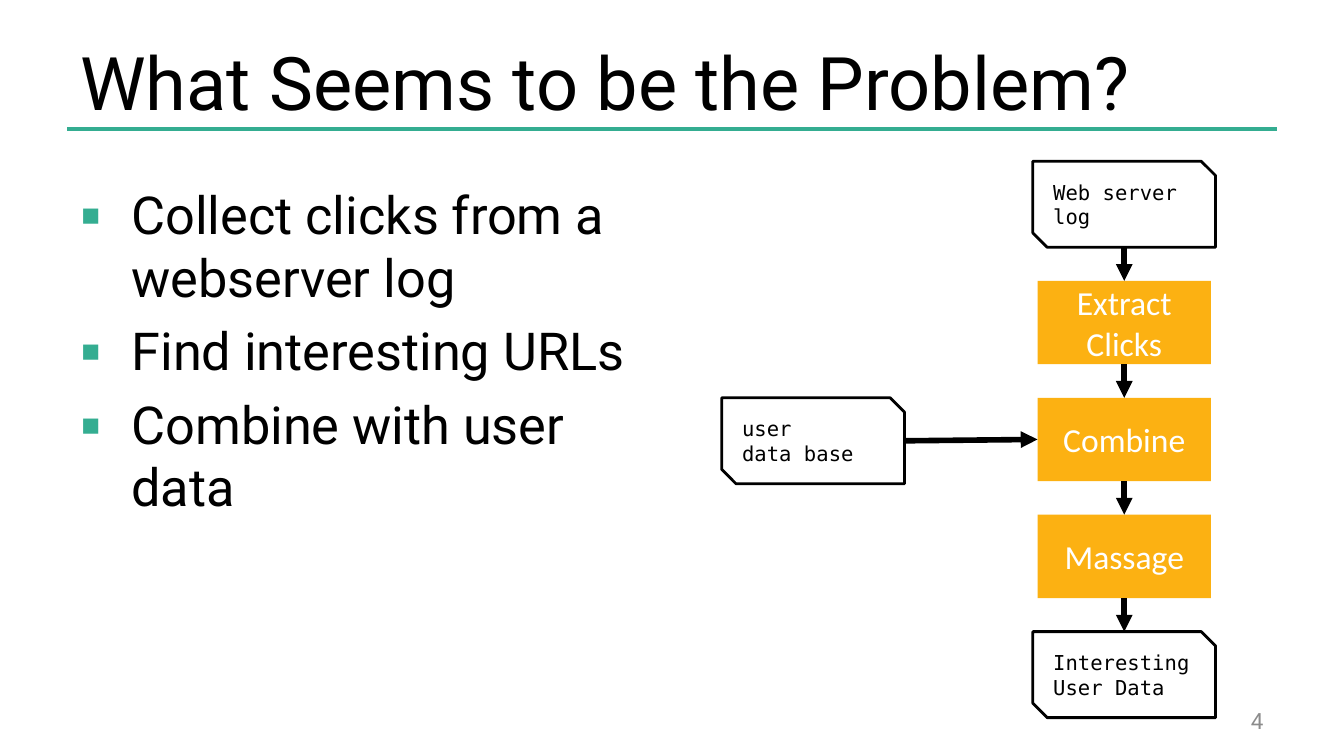
from lxml.etree import SubElement
from pptx import Presentation
from pptx.dml.color import RGBColor
from pptx.enum.shapes import MSO_CONNECTOR, MSO_SHAPE
from pptx.enum.text import MSO_ANCHOR, PP_ALIGN
from pptx.oxml.ns import qn
from pptx.util import Inches, Pt

BLACK = RGBColor(0x00, 0x00, 0x00)
WHITE = RGBColor(0xFF, 0xFF, 0xFF)
GREEN = RGBColor(0x34, 0xAD, 0x91)
AMBER = RGBColor(0xFC, 0xB1, 0x12)
GRAY = RGBColor(0x8C, 0x8C, 0x8C)

deck = Presentation()
deck.slide_width = Inches(10)
deck.slide_height = deck.slide_width * 9 // 16
COL = deck.slide_width / 100
ROW = deck.slide_height / 56.25
slide = deck.slides.add_slide(deck.slide_layouts[6])


def write(text, box, kind=None, size=18, font="Roboto", color=BLACK,
          align=PP_ALIGN.LEFT, anchor=MSO_ANCHOR.MIDDLE,
          fill=None, line=None, bullet=None):
    left, top, wide, high = box
    area = int(left * COL), int(top * ROW), int(wide * COL), int(high * ROW)
    if kind is None:
        shape = slide.shapes.add_textbox(*area)
    else:
        shape = slide.shapes.add_shape(kind, *area)
        shape.shadow.inherit = False
        shape.fill.solid()
        shape.fill.fore_color.rgb = fill
        if line is None:
            shape.line.fill.background()
        else:
            shape.line.color.rgb = line
            shape.line.width = Pt(1.5)
    frame = shape.text_frame
    frame.word_wrap = True
    frame.vertical_anchor = anchor
    for num, part in enumerate(text.split("\n")):
        para = frame.add_paragraph() if num else frame.paragraphs[0]
        para.alignment = align
        run = para.add_run()
        run.text = part
        run.font.size = Pt(size)
        run.font.name = font
        run.font.color.rgb = color
        if bullet:
            para.space_before = Pt(size * 0.2)
            props = para._p.get_or_add_pPr()
            props.set("marL", str(Inches(0.38)))
            props.set("indent", str(-Inches(0.38)))
            tint = SubElement(props, qn("a:buClr"))
            SubElement(tint, qn("a:srgbClr")).set("val", str(GREEN))
            SubElement(props, qn("a:buFont")).set("typeface", font)
            SubElement(props, qn("a:buChar")).set("char", bullet)


def join(start, end, color=BLACK, width=3, arrow=True):
    wire = slide.shapes.add_connector(
        MSO_CONNECTOR.STRAIGHT, int(start[0] * COL), int(start[1] * ROW),
        int(end[0] * COL), int(end[1] * ROW))
    wire.line.color.rgb = color
    wire.line.width = Pt(width)
    if arrow:
        SubElement(wire.line._get_or_add_ln(), qn("a:tailEnd")).set("type", "triangle")
    SubElement(wire._element.spPr, qn("a:effectLst"))


join((5, 9.6), (95, 9.6), color=GREEN, width=2, arrow=False)
write("What Seems to be the Problem?", (5, 2.3, 90, 7.4), size=39.6)
write("Collect clicks from a webserver log\nFind interesting URLs\nCombine with user data",
      (5, 13.1, 44.2, 37.1), size=28, anchor=MSO_ANCHOR.TOP, bullet="▪")
write("4", (71.7, 52.1, 23.3, 3), size=12, color=GRAY, align=PP_ALIGN.RIGHT)

MID = 83.65
STEP_W, STEP_H, GAP = 12.9, 6.2, 2.5
LOG_W, LOG_H = 13.6, 6.4
FIRST, SIDE = 12, 53.7
steps = ["Extract Clicks", "Combine", "Massage"]
PITCH = STEP_H + GAP
head = FIRST + LOG_H + GAP
side = head + PITCH
last = head + len(steps) * PITCH

logs = [("Web server log", MID - LOG_W / 2, FIRST),
        ("user\ndata base", SIDE, side),
        ("Interesting\nUser Data", MID - LOG_W / 2, last)]
for text, left, top in logs:
    write(text, (left, top, LOG_W, LOG_H), kind=MSO_SHAPE.SNIP_2_DIAG_RECTANGLE,
          size=11, font="DejaVu Sans Mono", fill=WHITE, line=BLACK)

for num, text in enumerate(steps):
    write(text, (MID - STEP_W / 2, head + num * PITCH, STEP_W, STEP_H),
          kind=MSO_SHAPE.RECTANGLE, font="Calibri", color=WHITE,
          align=PP_ALIGN.CENTER, fill=AMBER)

for num in range(len(steps) + 1):
    end = head + num * PITCH
    join((MID, end - GAP), (MID, end))
join((SIDE + LOG_W, side + LOG_H / 2), (MID - STEP_W / 2, side + STEP_H / 2))

deck.save("out.pptx")
